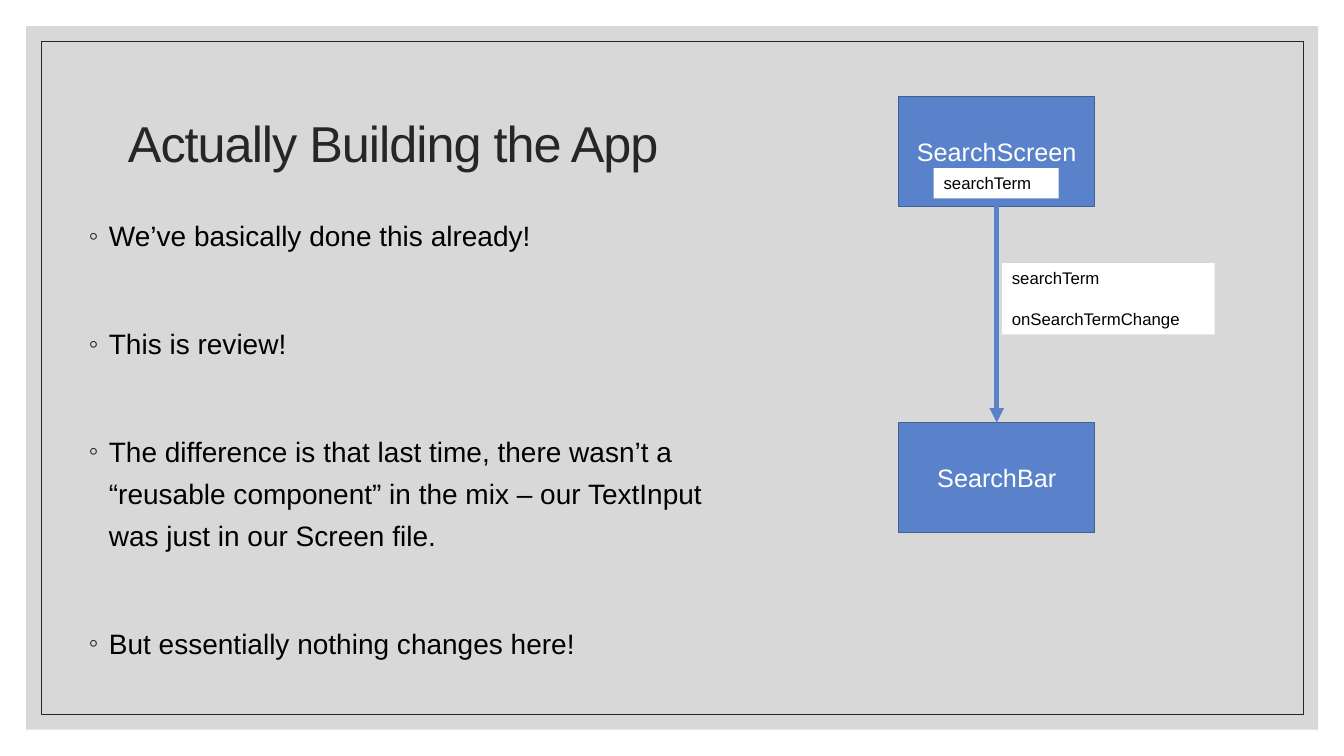
"""Build the slide on passing a search term from SearchScreen to SearchBar."""
from lxml import etree
from pptx import Presentation
from pptx.dml.color import RGBColor
from pptx.enum.shapes import MSO_CONNECTOR, MSO_SHAPE
from pptx.enum.text import MSO_ANCHOR, MSO_AUTO_SIZE, PP_ALIGN
from pptx.oxml.ns import qn
from pptx.util import Cm, Pt

RECTANGLE = MSO_SHAPE.RECTANGLE
STRAIGHT = MSO_CONNECTOR.STRAIGHT
TOP, MIDDLE = MSO_ANCHOR.TOP, MSO_ANCHOR.MIDDLE
LEFT, CENTER = PP_ALIGN.LEFT, PP_ALIGN.CENTER
NO_AUTOFIT = MSO_AUTO_SIZE.NONE
BOTTOM_SITE, TOP_SITE = 2, 0
FONT = "Arial"
COLORS = {
    "panel": "BFBFBF",
    "ink": "262626",
    "black": "000000",
    "white": "FFFFFF",
    "blue": "5A82CB",
    "blue_edge": "436096",
}


def add_box(slide, bounds, fill=None, edge=None, edge_width=0.5):
    """Add a rectangle with an optional fill and outline."""
    shape = slide.shapes.add_shape(RECTANGLE, *[Cm(value) for value in bounds])
    shape.shadow.inherit = False
    if fill:
        shape.fill.solid()
        shape.fill.fore_color.rgb = RGBColor.from_string(COLORS[fill])
    else:
        shape.fill.background()
    if edge:
        shape.line.color.rgb = RGBColor.from_string(COLORS[edge])
        shape.line.width = Pt(edge_width)
    else:
        shape.line.fill.background()
    return shape


def write_lines(shape, lines, size, color, alignment, anchor, gap=0, spacing=1.0):
    """Write one paragraph per line with a gap between paragraphs."""
    frame = shape.text_frame
    frame.word_wrap = True
    frame.auto_size = NO_AUTOFIT
    frame.vertical_anchor = anchor
    frame.text = "\n".join(lines)
    for index, paragraph in enumerate(frame.paragraphs):
        paragraph.alignment = alignment
        paragraph.line_spacing = spacing
        paragraph.space_before = Pt(gap if index else 0)
        paragraph.space_after = Pt(0)
        paragraph.font.name = FONT
        paragraph.font.size = Pt(size)
        paragraph.font.color.rgb = RGBColor.from_string(COLORS[color])
    return frame.paragraphs


presentation = Presentation()
presentation.slide_width = Cm(33.87)
presentation.slide_height = Cm(19.05)
slide = presentation.slides.add_slide(presentation.slide_layouts[1])
title, body = slide.placeholders

panel = add_box(slide, (0.66, 0.66, 32.56, 17.73), fill="panel")
panel_color = panel.fill._xPr.find(qn("a:solidFill"))[0]
etree.SubElement(panel_color, qn("a:alpha"), val="60000")
border = add_box(slide, (1.04, 1.04, 31.8, 16.97), edge="ink")
for backdrop in (border, panel):
    slide.shapes._spTree.insert(2, backdrop._element)

title.left, title.top, title.width, title.height = Cm(2.97), Cm(1.78), Cm(27.94), Cm(3.81)
for paragraph in write_lines(title, ["Actually Building the App"], 36, "ink", LEFT, MIDDLE, spacing=0.9):
    paragraph.runs[0].font._element.set("spc", "-70")

points = [
    "We’ve basically done this already!",
    "This is review!",
    "The difference is that last time, there wasn’t a “reusable component” in the mix – "
    "our TextInput was just in our Screen file.",
    "But essentially nothing changes here!",
]
body.left, body.top, body.width, body.height = Cm(1.98), Cm(5.18), Cm(16.84), Cm(12.6)
body_paragraphs = write_lines(body, points, 20, "black", LEFT, TOP, gap=47, spacing=1.25)
for paragraph in body_paragraphs:
    properties = paragraph._p.get_or_add_pPr()
    properties.set("marL", str(Cm(0.51)))
    properties.set("indent", str(Cm(-0.51)))
    bullet_color = etree.Element(qn("a:buClr"))
    etree.SubElement(bullet_color, qn("a:srgbClr"), val=COLORS["ink"])
    bullet = etree.Element(qn("a:buChar"), char="◦")
    default_run = properties.find(qn("a:defRPr"))
    default_run.addprevious(bullet_color)
    default_run.addprevious(bullet)

components = []
for name, top in (("SearchScreen", 2.43), ("SearchBar", 10.65)):
    component = add_box(slide, (22.65, top, 4.94, 2.77), "blue", "blue_edge", 1)
    write_lines(component, [name], 18, "white", CENTER, MIDDLE)
    components.append(component)

search_screen, search_bar = components
arrow = slide.shapes.add_connector(STRAIGHT, 0, 0, 0, 0)
arrow.begin_connect(search_screen, BOTTOM_SITE)
arrow.end_connect(search_bar, TOP_SITE)
arrow.line.color.rgb = RGBColor.from_string(COLORS["blue"])
arrow.line.width = Pt(3.5)
etree.SubElement(arrow.line._get_or_add_ln(), qn("a:tailEnd"), type="triangle")
etree.SubElement(arrow._element.spPr, qn("a:effectLst"))

labels = [
    ((23.53, 4.24, 3.15, 0.76), ["searchTerm"]),
    ((25.25, 6.63, 5.36, 1.8), ["searchTerm", "onSearchTermChange"]),
]
for bounds, lines in labels:
    label = add_box(slide, bounds, fill="white")
    write_lines(label, lines, 12, "black", LEFT, TOP, gap=14.5)

presentation.save("out.pptx")
